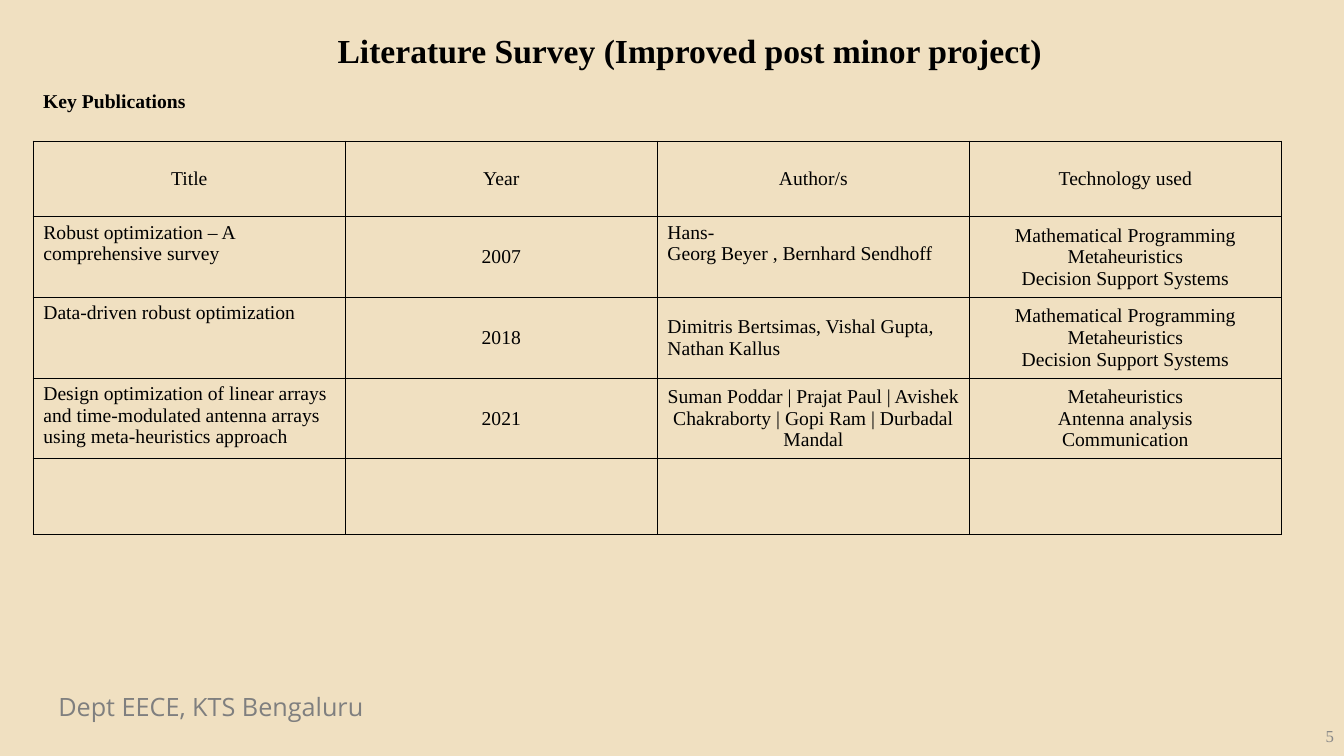
from dataclasses import dataclass

from lxml.etree import SubElement
from pptx import Presentation
from pptx.dml.color import RGBColor
from pptx.enum.text import MSO_ANCHOR, PP_ALIGN
from pptx.oxml.ns import qn
from pptx.util import Inches, Pt


@dataclass(frozen=True)
class Theme:
    paper: str = "F0E0C1"
    ink: str = "000000"
    department: str = "7F7F7F"
    number: str = "888888"
    serif: str = "Times New Roman"
    sans: str = "Open Sans"
    title_size: int = 24
    department_size: int = 18
    body_size: int = 14
    number_size: int = 12
    border: float = 1


THEME = Theme()
LEFT, CENTER, RIGHT = PP_ALIGN.LEFT, PP_ALIGN.CENTER, PP_ALIGN.RIGHT
TOP, MIDDLE = MSO_ANCHOR.TOP, MSO_ANCHOR.MIDDLE

HEADINGS = ["Title", "Year", "Author/s", "Technology used"]
DECISION_TOOLS = "Mathematical Programming\nMetaheuristics\nDecision Support Systems"
BEYER_SENDHOFF = "Hans-" + "Georg Beyer , Bernhard Sendhoff".replace(" ", chr(160))
PUBLICATIONS = [
    ["Robust optimization – A comprehensive survey", "2007",
     BEYER_SENDHOFF, DECISION_TOOLS],
    ["Data-driven robust optimization", "2018",
     "Dimitris Bertsimas, Vishal Gupta, Nathan Kallus", DECISION_TOOLS],
    ["Design optimization of linear arrays and time-modulated antenna arrays "
     "using meta-heuristics approach", "2021",
     "Suman Poddar | Prajat Paul | Avishek Chakraborty | Gopi Ram | Durbadal Mandal",
     "Metaheuristics\nAntenna analysis\nCommunication"],
    ["", "", "", ""],
]
AUTHOR_LAYOUTS = [(LEFT, TOP), (LEFT, MIDDLE), (CENTER, MIDDLE), (CENTER, MIDDLE)]
ROW_HEIGHTS = [0.75, 0.8, 0.8, 0.8, 0.75]


def write(frame, words, size, color=THEME.ink, font=THEME.serif, align=LEFT, bold=False):
    frame.text = words
    for paragraph in frame.paragraphs:
        paragraph.alignment = align
        paragraph.font.size = Pt(size)
        for run in paragraph.runs:
            run.font.size = Pt(size)
            run.font.name = font
            run.font.bold = bold
            run.font.color.rgb = RGBColor.from_string(color)


def add_label(slide, box, words, size, anchor=TOP, **style):
    frame = slide.shapes.add_textbox(*map(Inches, box)).text_frame
    frame.word_wrap = True
    frame.vertical_anchor = anchor
    write(frame, words, size, **style)


def outline(cell):
    properties = cell._tc.get_or_add_tcPr()
    for position, side in enumerate(("lnL", "lnR", "lnT", "lnB")):
        line = SubElement(properties, qn(f"a:{side}"), w=str(Pt(THEME.border)))
        properties.insert(position, line)
        ink = SubElement(SubElement(line, qn("a:solidFill")), qn("a:srgbClr"))
        ink.set("val", THEME.ink)


def add_publications(slide, box):
    rows = [HEADINGS] + PUBLICATIONS
    layouts = [[(CENTER, MIDDLE)] * len(HEADINGS)]
    for author_layout in AUTHOR_LAYOUTS:
        layouts.append([(LEFT, TOP), (CENTER, MIDDLE), author_layout, (CENTER, MIDDLE)])
    survey = slide.shapes.add_table(len(rows), len(HEADINGS), *map(Inches, box)).table
    survey.first_row = survey.horz_banding = False
    for row, height in zip(survey.rows, ROW_HEIGHTS):
        row.height = Inches(height)
    for r, entries in enumerate(rows):
        for c, words in enumerate(entries):
            align, anchor = layouts[r][c]
            cell = survey.cell(r, c)
            cell.fill.background()
            cell.vertical_anchor = anchor
            write(cell.text_frame, words, THEME.body_size, align=align)
            outline(cell)


def add_heading(slide, box):
    left, top, width, height = box
    add_label(slide, (left + 0.76, top, 11.5, 0.54),
              "Literature Survey (Improved post minor project)",
              THEME.title_size, align=CENTER, bold=True)
    add_label(slide, (left, top + height - 0.4, width, 0.4),
              "Key Publications", THEME.body_size, bold=True)


def add_footer(slide, box):
    left, top, width, height = box
    add_label(slide, (left + 0.48, top, 5.24, 0.4), "Dept EECE, KTS Bengaluru",
              THEME.department_size, color=THEME.department, font=THEME.sans)
    add_label(slide, (left + width - 3, top + height - 0.4, 3, 0.4), "5",
              THEME.number_size, anchor=MIDDLE, color=THEME.number, align=RIGHT)


def main():
    deck = Presentation()
    deck.slide_width, deck.slide_height = Inches(13.33), Inches(7.5)
    slide = deck.slides.add_slide(deck.slide_layouts[6])
    backdrop = slide.background.fill
    backdrop.solid()
    backdrop.fore_color.rgb = RGBColor.from_string(THEME.paper)
    add_footer(slide, (0, 6.81, 13.33, 0.69))
    add_heading(slide, (0.33, 0.25, 12.39, 0.98))
    add_publications(slide, (0.33, 1.4, 12.38, sum(ROW_HEIGHTS)))
    deck.save("out.pptx")


if __name__ == "__main__":
    main()
